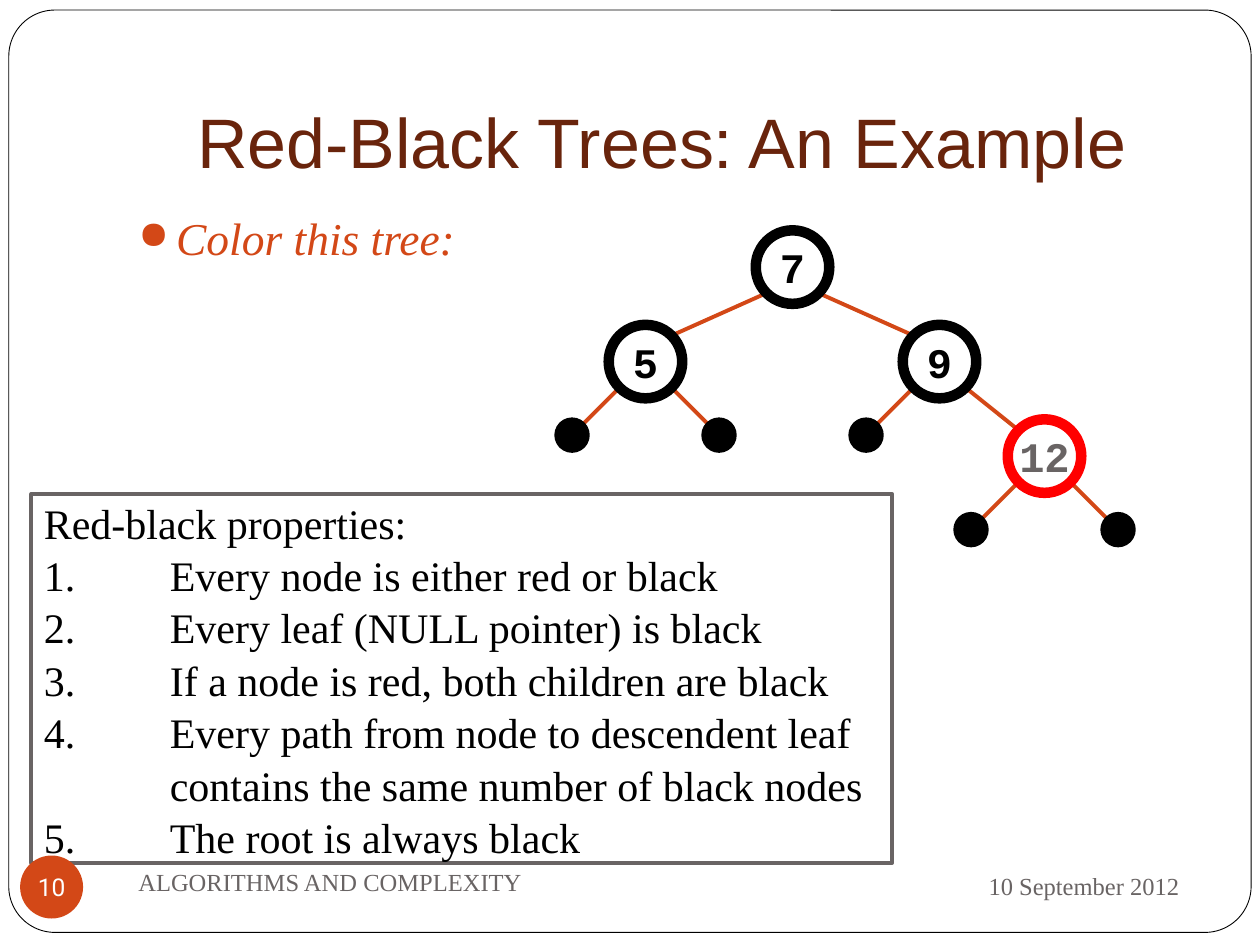
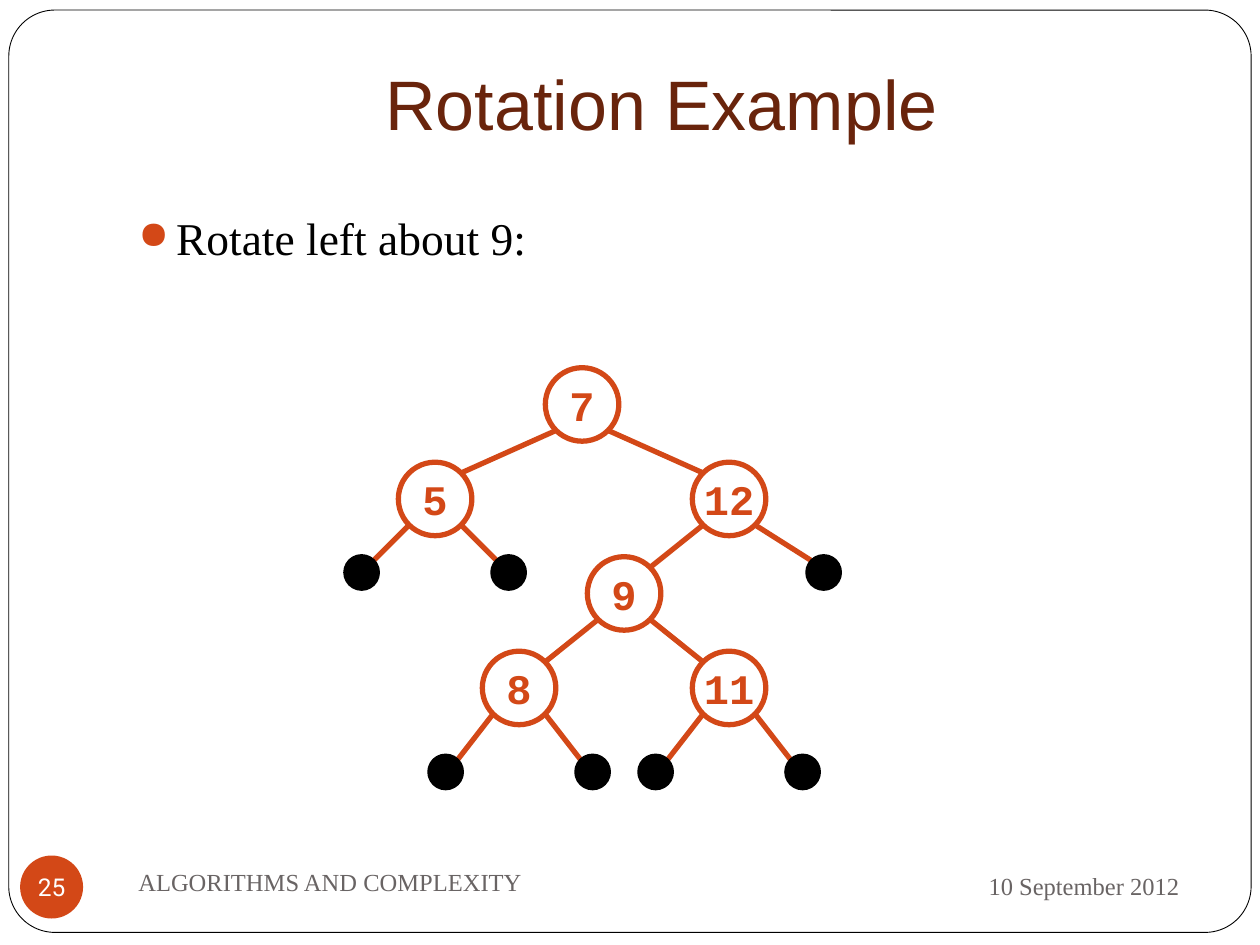
"""Builds two slides on red-black trees: a colouring example and a rotation example."""
import math

import lxml.etree
import pptx
import pptx.dml.color
import pptx.enum.shapes
import pptx.enum.text
import pptx.oxml.ns
import pptx.util

COLORS = {"accent": "D34817", "title": "69240C", "grey": "696464",
          "black": "000000", "white": "FFFFFF", "red": "FF0000"}
SERIF, SANS, MONO, NUMERAL = "Times New Roman", "Arial", "Courier New", "Roboto"
COURSE, DATE = "ALGORITHMS AND COMPLEXITY", "10 September 2012"
WIDTH, HEIGHT = 10, 7.5

UNIT = 1 / 12
LEVEL, NODE_SIZE, LEAF_SIZE = 9, 7, 3

PROPERTIES_HEADING = "Red-black properties:"
PROPERTIES = [
    "Every node is either red or black",
    "Every leaf (NULL pointer) is black",
    "If a node is red, both children are black",
    "Every path from node to descendent leaf\vcontains the same number of black nodes",
    "The root is always black",
]

# nodes: key -> (parent, columns from parent); leaves: (parent, columns, rows)
SLIDES = [
    {"title": "Red-Black Trees: An Example", "title_top": 0.3, "number": "10",
     "task": "Color this tree:", "task_color": "accent", "italic": True,
     "root": (6.29, 2.12), "edge_width": 2.25, "ring_width": 6,
     "ring": "black", "label": "black", "special": {"12": ("red", "grey")},
     "nodes": {"7": (None, 0), "5": ("7", -14), "9": ("7", 14), "12": ("9", 10)},
     "leaves": [("5", -7, 7), ("5", 7, 7), ("9", -7, 7), ("12", -7, 7), ("12", 7, 7)],
     "properties": True},
    {"title": "Rotation Example", "title_top": 0, "number": "25",
     "task": "Rotate left about 9:", "task_color": "black", "italic": False,
     "root": (4.62, 3.21), "edge_width": 3, "ring_width": 3,
     "ring": "accent", "label": "accent", "special": {},
     "nodes": {"7": (None, 0), "5": ("7", -14), "12": ("7", 14), "9": ("12", -10),
               "8": ("9", -10), "11": ("9", 10)},
     "leaves": [("5", -7, 7), ("5", 7, 7), ("12", 9, 7),
                ("8", -7, 8), ("8", 7, 8), ("11", -7, 8), ("11", 7, 8)],
     "properties": False},
]

SHAPE = pptx.enum.shapes.MSO_SHAPE
ALIGN = pptx.enum.text.PP_ALIGN
ANCHOR = pptx.enum.text.MSO_ANCHOR
inches = pptx.util.Inches


def rgb(name):
    return pptx.dml.color.RGBColor.from_string(COLORS[name])


def style(paragraph, size, font, color, align=ALIGN.LEFT, bold=False, italic=False):
    paragraph.alignment = align
    paragraph.font.size = pptx.util.Pt(size)
    paragraph.font.name = font
    paragraph.font.color.rgb = rgb(color)
    paragraph.font.bold = bold
    paragraph.font.italic = italic


def add_bullet(paragraph, indent, *marks):
    """Give a paragraph a hanging indent and bullet elements, each (tag, attributes, colour)."""
    properties = paragraph._p.get_or_add_pPr()
    properties.set("marL", str(inches(indent)))
    properties.set("indent", str(-inches(indent)))
    for tag, attributes, color in marks:
        mark = lxml.etree.SubElement(properties, pptx.oxml.ns.qn(tag), attributes)
        if color:
            lxml.etree.SubElement(mark, pptx.oxml.ns.qn("a:srgbClr"), val=COLORS[color])


def add_form(slide, kind, box, fill=None, line=None, width=1):
    form = slide.shapes.add_shape(kind, *map(inches, box))
    form.shadow.inherit = False
    if fill:
        form.fill.solid()
        form.fill.fore_color.rgb = rgb(fill)
    else:
        form.fill.background()
    if line:
        form.line.color.rgb = rgb(line)
        form.line.width = pptx.util.Pt(width)
    else:
        form.line.fill.background()
    return form


def add_circle(slide, center, diameter, fill, line=None, width=1):
    x, y = center
    box = (x - diameter / 2, y - diameter / 2, diameter, diameter)
    return add_form(slide, SHAPE.OVAL, box, fill, line, width)


def label_circle(circle, text, *look):
    frame = circle.text_frame
    frame.word_wrap = False
    frame.vertical_anchor = ANCHOR.MIDDLE
    frame.text = text
    style(frame.paragraphs[0], *look)


def add_text(slide, box, text, anchor=ANCHOR.MIDDLE):
    frame = slide.shapes.add_textbox(*map(inches, box)).text_frame
    frame.word_wrap = True
    frame.vertical_anchor = anchor
    frame.text = text
    return frame.paragraphs[0]


def add_frame(slide):
    border = add_form(slide, SHAPE.ROUNDED_RECTANGLE,
                      (0.07, 0.08, WIDTH - 0.14, HEIGHT - 0.18), "white", "black", 0.5)
    border.adjustments[0] = 0.05
    slide.shapes._spTree.insert(2, border._element)


def set_title(slide, text, top):
    title = slide.shapes.title
    title.left, title.top, title.width, title.height = map(inches, (1, top, 8.5, 1.25))
    frame = title.text_frame
    frame.auto_size = pptx.enum.text.MSO_AUTO_SIZE.NONE
    frame.vertical_anchor = ANCHOR.BOTTOM
    frame.margin_bottom = inches(0.1)
    frame.text = text
    style(frame.paragraphs[0], 40, SANS, "title", ALIGN.CENTER)


def add_footer(slide, number):
    date = add_text(slide, (6.75, 6.77, 2.71, 0.52), DATE)
    style(date, 14, SERIF, "grey", ALIGN.RIGHT)
    badge = add_circle(slide, (0.41, 7.04), 0.5, "accent")
    frame = badge.text_frame
    frame.margin_left = frame.margin_right = frame.margin_top = frame.margin_bottom = 0
    label_circle(badge, number, 14, NUMERAL, "white", ALIGN.CENTER)
    course = add_text(slide, (1, 6.75, 4.33, 0.5), COURSE)
    style(course, 14, SERIF, "grey")


def add_task(slide, content):
    task = add_text(slide, (1, 1.62, 8.5, 5), content["task"], ANCHOR.TOP)
    add_bullet(task, 0.3, ("a:buClr", {}, "accent"), ("a:buSzPct", {"val": "85000"}, None),
               ("a:buChar", {"char": "●"}, None))
    style(task, 26, SERIF, content["task_color"], italic=content["italic"])


def add_edge(slide, parent, child, child_size, width):
    """Join two circles at the points of their rims that lie on the diagonals."""
    side = math.copysign(math.sqrt(0.5) / 2 * UNIT, child[0] - parent[0])
    start = (parent[0] + side * NODE_SIZE, parent[1] + abs(side) * NODE_SIZE)
    end = (child[0] - side * child_size, child[1] - abs(side) * child_size)
    edge = slide.shapes.add_connector(pptx.enum.shapes.MSO_CONNECTOR.STRAIGHT,
                                      *map(inches, start + end))
    edge.line.color.rgb = rgb("accent")
    edge.line.width = pptx.util.Pt(width)
    lxml.etree.SubElement(edge._element.spPr, pptx.oxml.ns.qn("a:effectLst"))


def add_tree(slide, content):
    width = content["edge_width"]
    centers = {}

    def below(parent, columns, rows):
        x, y = centers[parent]
        return x + columns * UNIT, y + rows * UNIT

    for key, (parent, columns) in content["nodes"].items():
        if parent is None:
            centers[key] = content["root"]
        else:
            centers[key] = below(parent, columns, LEVEL)
            add_edge(slide, centers[parent], centers[key], NODE_SIZE, width)
    for parent, columns, rows in content["leaves"]:
        leaf = below(parent, columns, rows)
        add_edge(slide, centers[parent], leaf, LEAF_SIZE, width)
        add_circle(slide, leaf, LEAF_SIZE * UNIT, "black", "black", width)
    for key, center in centers.items():
        ring, label = content["special"].get(key, (content["ring"], content["label"]))
        node = add_circle(slide, center, NODE_SIZE * UNIT, "white", ring, content["ring_width"])
        label_circle(node, key, 24, MONO, label, ALIGN.CENTER, True)


def add_properties(slide):
    panel = add_form(slide, SHAPE.RECTANGLE, (0.25, 3.92, 6.83, 2.93), None, "grey", 2.25)
    frame = panel.text_frame
    frame.word_wrap = True
    frame.vertical_anchor = ANCHOR.MIDDLE
    frame.text = PROPERTIES_HEADING
    for rule in PROPERTIES:
        paragraph = frame.add_paragraph()
        paragraph.text = rule
        add_bullet(paragraph, 1, ("a:buFont", {"typeface": SERIF}, None),
                   ("a:buAutoNum", {"type": "arabicPeriod"}, None))
    for paragraph in frame.paragraphs:
        paragraph.line_spacing = 1.04
        style(paragraph, 24, SERIF, "black")


def main():
    deck = pptx.Presentation()
    deck.slide_width, deck.slide_height = inches(WIDTH), inches(HEIGHT)
    for content in SLIDES:
        slide = deck.slides.add_slide(deck.slide_layouts[5])
        add_frame(slide)
        set_title(slide, content["title"], content["title_top"])
        add_task(slide, content)
        add_tree(slide, content)
        if content["properties"]:
            add_properties(slide)
        add_footer(slide, content["number"])
    deck.save("out.pptx")


if __name__ == "__main__":
    main()
